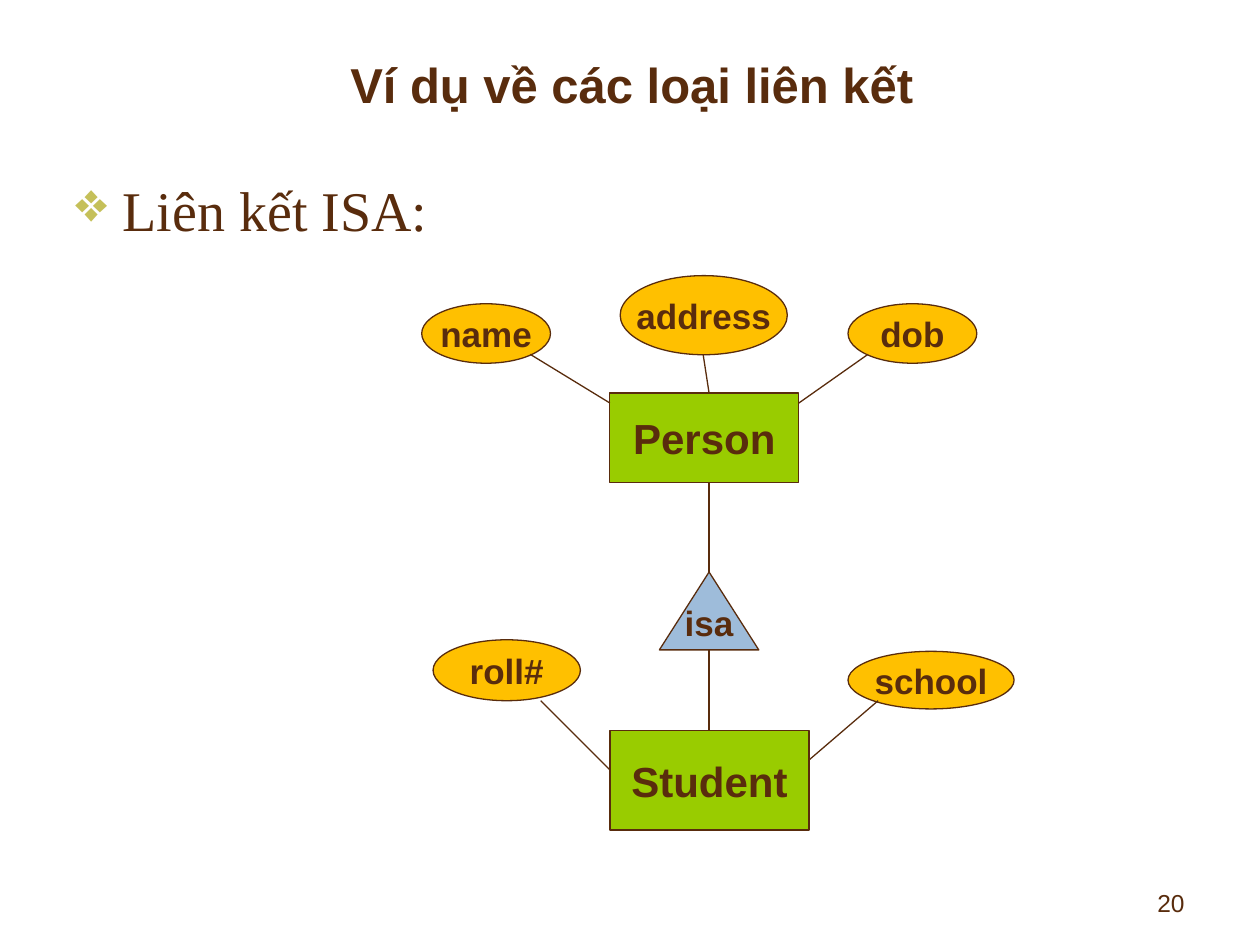
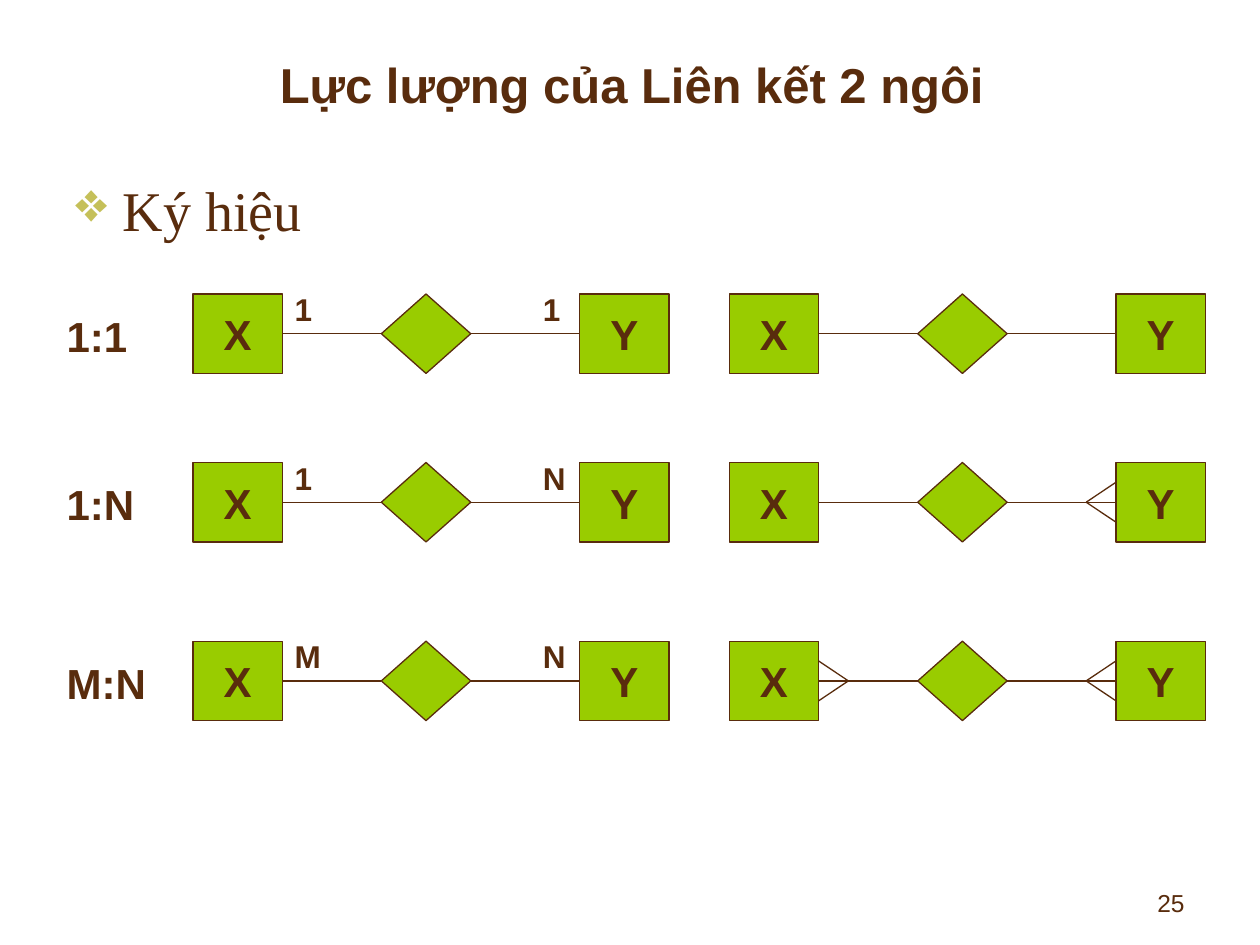
from lxml import etree
from pptx import Presentation
from pptx.dml.color import RGBColor
from pptx.enum.shapes import MSO_CONNECTOR, MSO_SHAPE
from pptx.enum.text import MSO_ANCHOR, PP_ALIGN
from pptx.oxml.ns import qn
from pptx.util import Pt

RECT, OVAL = MSO_SHAPE.RECTANGLE, MSO_SHAPE.OVAL
TRIANGLE, DIAMOND = MSO_SHAPE.ISOSCELES_TRIANGLE, MSO_SHAPE.FLOWCHART_DECISION
STRAIGHT = MSO_CONNECTOR.STRAIGHT
TOP, MIDDLE, BOTTOM = MSO_ANCHOR.TOP, MSO_ANCHOR.MIDDLE, MSO_ANCHOR.BOTTOM
LEFT, CENTER, RIGHT = PP_ALIGN.LEFT, PP_ALIGN.CENTER, PP_ALIGN.RIGHT

BROWN = RGBColor(0x59, 0x2C, 0x0D)
GREEN = RGBColor(0x99, 0xCC, 0x00)
AMBER = RGBColor(0xFF, 0xC0, 0x00)
BLUE = RGBColor(0x9E, 0xBC, 0xDA)
OLIVE = RGBColor(0xC5, 0xC0, 0x59)

BOX_W, BOX_H = 51.1, 45.4
DIAMOND_DX, Y_DX = 107.7, 221
NOTATION_X = (110.2, 416.7)
FOOT_W, FOOT_H = 17, 11.4


def write(sp, text, size, bold=True, align=LEFT, anchor=TOP, font="Arial"):
    tf = sp.text_frame
    tf.text = text
    tf.vertical_anchor = anchor
    p = tf.paragraphs[0]
    p.alignment = align
    r = p.runs[0]
    r.font.name = font
    r.font.size = Pt(size)
    r.font.bold = bold
    r.font.color.rgb = BROWN
    return p


def add_text(s, x, y, w, h, text, size, **style):
    sp = s.shapes.add_textbox(Pt(x), Pt(y), Pt(w), Pt(h))
    sp.text_frame.word_wrap = True
    return write(sp, text, size, **style)


def add_node(s, kind, x, y, w, h, fill, text="", size=24, anchor=MIDDLE):
    sp = s.shapes.add_shape(kind, Pt(x), Pt(y), Pt(w), Pt(h))
    sp.shadow.inherit = False
    sp.fill.solid()
    sp.fill.fore_color.rgb = fill
    sp.line.color.rgb = BROWN
    sp.line.width = Pt(0.75)
    if text:
        write(sp, text, size, align=CENTER, anchor=anchor)
        sp.text_frame.word_wrap = False
    return sp


def add_entity(s, x, y, w, h, text):
    add_node(s, RECT, x, y, w, h, GREEN, text)


def add_attribute(s, x, y, w, h, text):
    tf = add_node(s, OVAL, x, y, w, h, AMBER, text, 20).text_frame
    tf.margin_left = tf.margin_right = 0


def add_line(s, x1, y1, x2, y2):
    ln = s.shapes.add_connector(STRAIGHT, Pt(x1), Pt(y1), Pt(x2), Pt(y2))
    ln.line.color.rgb = BROWN
    ln.line.width = Pt(0.75)
    etree.SubElement(ln._element.spPr, qn("a:effectLst"))


def add_bullet(p):
    pPr = p._p.get_or_add_pPr()
    pPr.set("marL", str(Pt(27)))
    pPr.set("indent", str(Pt(-27)))
    clr = etree.SubElement(pPr, qn("a:buClr"))
    etree.SubElement(clr, qn("a:srgbClr"), val=str(OLIVE))
    etree.SubElement(pPr, qn("a:buChar"), char="❖")


def add_slide(prs, title, heading, number):
    s = prs.slides.add_slide(prs.slide_layouts[6])
    add_text(s, 36, 18, 650, 60.5, title, 28, align=CENTER, anchor=MIDDLE)
    add_bullet(add_text(s, 36, 96.5, 650, 401, heading, 32, bold=False,
                        font="Times New Roman"))
    add_text(s, 516.2, 504, 167.8, 25.2, number, 14, bold=False, align=RIGHT)
    return s


def add_crow_foot(s, edge, tip, y):
    for dy in (-FOOT_H, FOOT_H):
        add_line(s, edge, y + dy, tip, y)


def add_relationship(s, x, y):
    mid = y + BOX_H / 2
    add_entity(s, x, y, BOX_W, BOX_H, "X")
    add_entity(s, x + Y_DX, y, BOX_W, BOX_H, "Y")
    add_node(s, DIAMOND, x + DIAMOND_DX, y, BOX_W, BOX_H, GREEN)
    add_line(s, x + BOX_W, mid, x + DIAMOND_DX, mid)
    add_line(s, x + DIAMOND_DX + BOX_W, mid, x + Y_DX, mid)


def add_cardinality(s, y, left, right):
    label_x, foot_x = NOTATION_X
    add_relationship(s, label_x, y)
    add_text(s, 31, y + 5.7, 62.6, 36, f"{left}:{right}", 24)
    for x, text in ((label_x + BOX_W, left), (label_x + Y_DX - 28, right)):
        add_text(s, x, y - 5.8, 28, 28.8, text, 18)

    add_relationship(s, foot_x, y)
    mid = y + BOX_H / 2
    if left != "1":
        edge = foot_x + BOX_W
        add_crow_foot(s, edge, edge + FOOT_W, mid)
    if right != "1":
        edge = foot_x + Y_DX
        add_crow_foot(s, edge, edge - FOOT_W, mid)


def build_isa(prs):
    s = add_slide(prs, "Ví dụ về các loại liên kết", "Liên kết ISA:", "20")
    add_entity(s, 348.5, 224.6, 108, 51.1, "Person")
    add_entity(s, 348.5, 417.4, 113.8, 56.9, "Student")
    for attribute in (
        (241, 173.6, 73.6, 34, "name"),
        (354.4, 157.5, 95.5, 45.2, "address"),
        (484.6, 173.6, 73.6, 34, "dob"),
        (247.5, 365.6, 84.2, 34.8, "roll#"),
        (484.6, 372.2, 94.9, 32.9, "school"),
    ):
        add_attribute(s, *attribute)
    for ends in (
        (405.2, 275.7, 405.2, 326.9),
        (405.2, 366.5, 405.2, 417.4),
        (401.8, 202.5, 405.2, 224.6),
        (303, 202.5, 348.5, 230.3),
        (496, 202.5, 456.5, 230.3),
        (309, 400.4, 348.5, 439.9),
        (501.8, 400.4, 462.3, 434.3),
    ):
        add_line(s, *ends)
    add_node(s, TRIANGLE, 376.8, 326.9, 56.8, 44.5, BLUE, "isa", 20, BOTTOM)


def build_cardinalities(prs):
    s = add_slide(prs, "Lực lượng của Liên kết 2 ngôi", "Ký hiệu", "25")
    for y, left, right in ((168, "1", "1"), (264.3, "1", "N"), (366.4, "M", "N")):
        add_cardinality(s, y, left, right)


def main():
    prs = Presentation()
    prs.slide_width, prs.slide_height = Pt(720), Pt(540)
    build_isa(prs)
    build_cardinalities(prs)
    prs.save("out.pptx")


if __name__ == "__main__":
    main()
